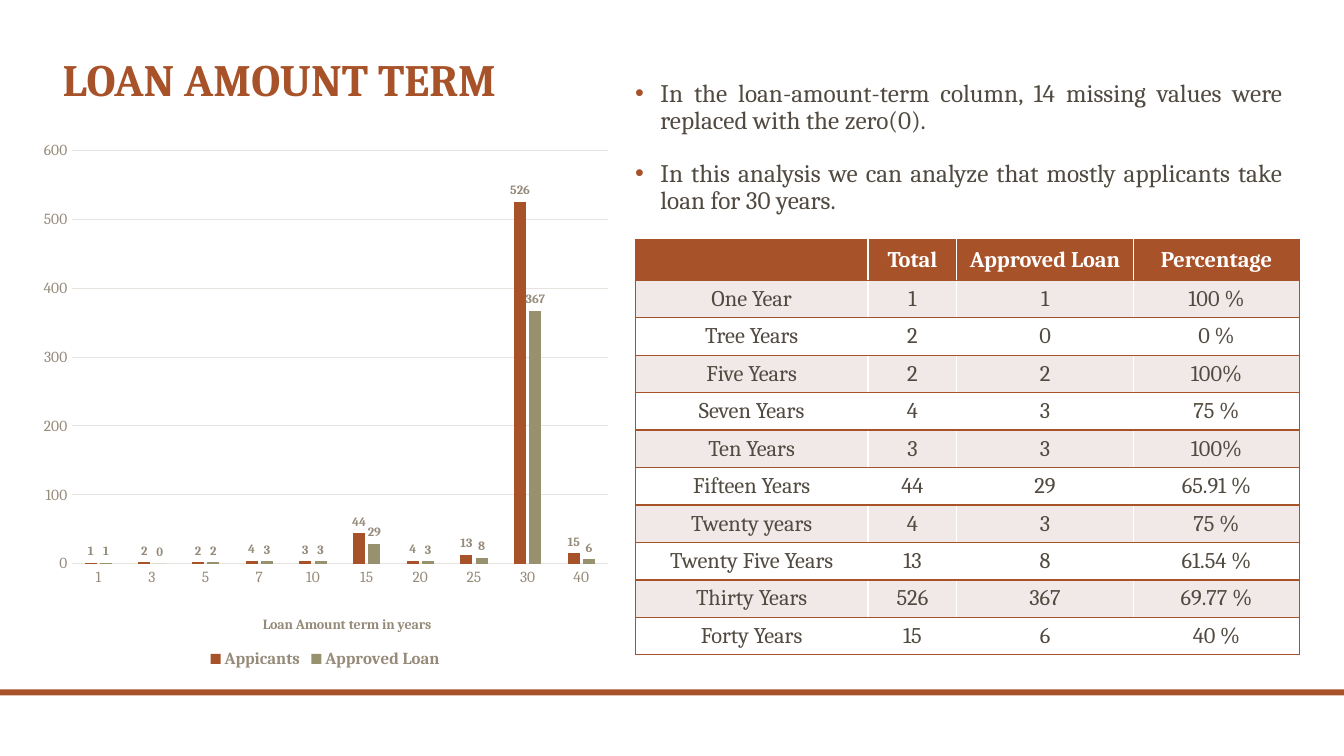
from dataclasses import dataclass

from lxml import etree
from pptx import Presentation
from pptx.chart.data import CategoryChartData
from pptx.dml.color import RGBColor
from pptx.enum.chart import XL_CHART_TYPE, XL_LABEL_POSITION, XL_LEGEND_POSITION, XL_TICK_MARK
from pptx.enum.shapes import MSO_SHAPE
from pptx.enum.text import MSO_ANCHOR, MSO_AUTO_SIZE, PP_ALIGN
from pptx.oxml import parse_xml
from pptx.oxml.ns import nsdecls, qn
from pptx.util import Inches, Pt

COLUMN_CLUSTERED = XL_CHART_TYPE.COLUMN_CLUSTERED
OUTSIDE_END = XL_LABEL_POSITION.OUTSIDE_END
LEGEND_BOTTOM = XL_LEGEND_POSITION.BOTTOM
NO_TICK = XL_TICK_MARK.NONE
RECTANGLE = MSO_SHAPE.RECTANGLE
TOP, MIDDLE, BOTTOM = MSO_ANCHOR.TOP, MSO_ANCHOR.MIDDLE, MSO_ANCHOR.BOTTOM
NO_AUTOFIT = MSO_AUTO_SIZE.NONE
LEFT, CENTER, JUSTIFY = PP_ALIGN.LEFT, PP_ALIGN.CENTER, PP_ALIGN.JUSTIFY

FONT = "Cambria"
COLORS = {
    "accent": "A85229", "olive": "98916E", "text": "514A40", "muted": "968B7A",
    "grid": "E7E4E0", "band": "F1E9E8", "white": "FFFFFF",
}


@dataclass
class LoanTerm:
    years: str
    label: str
    total: int
    approved: int
    percentage: str


LOAN_TERMS = [
    LoanTerm("1", "One Year", 1, 1, "100 %"),
    LoanTerm("3", "Tree Years", 2, 0, "0 %"),
    LoanTerm("5", "Five Years", 2, 2, "100%"),
    LoanTerm("7", "Seven Years", 4, 3, "75 %"),
    LoanTerm("10", "Ten Years", 3, 3, "100%"),
    LoanTerm("15", "Fifteen Years", 44, 29, "65.91 %"),
    LoanTerm("20", "Twenty years", 4, 3, "75 %"),
    LoanTerm("25", "Twenty Five Years", 13, 8, "61.54 %"),
    LoanTerm("30", "Thirty Years", 526, 367, "69.77 %"),
    LoanTerm("40", "Forty Years", 15, 6, "40 %"),
]
TABLE_HEADER = ["", "Total", "Approved Loan", "Percentage"]
COLUMN_WIDTHS = [2.31, 0.88, 1.75, 1.65]
TABLE_HEIGHT, HEADER_HEIGHT = 4.12, 0.4
FINDINGS = [
    "In the loan-amount-term column, 14 missing values were replaced with the zero(0).",
    "In this analysis we can analyze that mostly applicants take loan for 30 years.",
]


def rgb(name: str) -> RGBColor:
    return RGBColor.from_string(COLORS[name])


def set_font(font, size: float, color: str, bold: bool = False) -> None:
    font.name, font.size, font.bold = FONT, Pt(size), bold
    font.color.rgb = rgb(color)


def place(shape, left: float, top: float, width: float, height: float) -> None:
    shape.left, shape.top = Inches(left), Inches(top)
    shape.width, shape.height = Inches(width), Inches(height)


def add_title(slide) -> None:
    title = slide.shapes.title
    place(title, 0.52, 0.41, 10.5, 0.69)
    frame = title.text_frame
    frame.text = "LOAN AMOUNT TERM"
    frame.auto_size, frame.vertical_anchor = NO_AUTOFIT, BOTTOM
    paragraph = frame.paragraphs[0]
    paragraph.alignment, paragraph.line_spacing = LEFT, 0.9
    set_font(paragraph.font, 32, "accent", True)


def add_findings(slide) -> None:
    body = slide.placeholders[1]
    place(body, 6.15, 0.75, 6.67, 1.44)
    frame = body.text_frame
    frame.text = "\n".join(FINDINGS)
    frame.auto_size, frame.vertical_anchor = NO_AUTOFIT, TOP
    for paragraph in frame.paragraphs:
        paragraph.alignment, paragraph.line_spacing = JUSTIFY, 0.9
        paragraph.space_before = Pt(18)
        properties = paragraph._p.get_or_add_pPr()
        properties.set("marL", str(Inches(0.3)))
        properties.set("indent", str(Inches(-0.25)))
        bullet_color = etree.SubElement(properties, qn("a:buClr"))
        etree.SubElement(bullet_color, qn("a:srgbClr"), val=COLORS["accent"])
        etree.SubElement(properties, qn("a:buFont"), typeface="Arial")
        etree.SubElement(properties, qn("a:buChar"), char="•")
        set_font(paragraph.font, 18, "text")


def set_borders(cell, sides: list[str]) -> None:
    """Insert one-point border lines ahead of the cell fill."""
    properties = cell._tc.get_or_add_tcPr()
    for index, side in enumerate(sides):
        properties.insert(index, parse_xml(
            f'<a:{side} {nsdecls("a")} w="12700"><a:solidFill>'
            f'<a:srgbClr val="{COLORS["accent"]}"/></a:solidFill></a:{side}>'))


def add_loan_table(slide) -> None:
    rows = [TABLE_HEADER] + [
        [term.label, str(term.total), str(term.approved), term.percentage] for term in LOAN_TERMS]
    table = slide.shapes.add_table(
        len(rows), len(TABLE_HEADER), Inches(6.3), Inches(2.38),
        Inches(sum(COLUMN_WIDTHS)), Inches(TABLE_HEIGHT)).table
    for column, width in zip(table.columns, COLUMN_WIDTHS):
        column.width = Inches(width)
    row_height = (TABLE_HEIGHT - HEADER_HEIGHT) / len(LOAN_TERMS)
    last_column = len(TABLE_HEADER) - 1
    for row_index, values in enumerate(rows):
        header = row_index == 0
        table.rows[row_index].height = Inches(HEADER_HEIGHT if header else row_height)
        fill = "accent" if header else "band" if row_index % 2 else "white"
        for column_index, value in enumerate(values):
            cell = table.cell(row_index, column_index)
            cell.text, cell.vertical_anchor = value, MIDDLE
            cell.fill.solid()
            cell.fill.fore_color.rgb = rgb(fill)
            paragraph = cell.text_frame.paragraphs[0]
            paragraph.alignment = CENTER
            set_font(paragraph.font, 16, "white" if header else "text", header)
            left = ["lnL"] if column_index == 0 else []
            right = ["lnR"] if column_index == last_column else []
            set_borders(cell, left + right + ["lnT", "lnB"])


def set_layout(element, **fractions: float) -> None:
    """Give a chart part a fixed place, in fractions of the chart."""
    for old_layout in element.findall(qn("c:layout")):
        element.remove(old_layout)
    layout = etree.Element(qn("c:layout"))
    manual = etree.SubElement(layout, qn("c:manualLayout"))
    if "w" in fractions:
        etree.SubElement(manual, qn("c:layoutTarget"), val="inner")
    for axis in "xy":
        etree.SubElement(manual, qn(f"c:{axis}Mode"), val="edge")
    for key, value in fractions.items():
        etree.SubElement(manual, qn(f"c:{key}"), val=str(value))
    text = element.find(qn("c:tx"))
    element.insert(0 if text is None else 1, layout)


def add_loan_chart(slide) -> None:
    data = CategoryChartData()
    data.categories = [term.years for term in LOAN_TERMS]
    data.add_series("Appicants", [term.total for term in LOAN_TERMS])
    data.add_series("Approved Loan", [term.approved for term in LOAN_TERMS])
    chart = slide.shapes.add_chart(
        COLUMN_CLUSTERED, Inches(0.3), Inches(1.28), Inches(5.85), Inches(5.39), data).chart
    set_font(chart.font, 10, "text")
    chart.has_title = False
    chart.has_legend = True
    chart.legend.position, chart.legend.include_in_layout = LEGEND_BOTTOM, False
    set_font(chart.legend.font, 12, "muted", True)

    # Columns and value labels
    plot = chart.plots[0]
    plot.gap_width, plot.overlap, plot.vary_by_categories = 219, -27, False
    for series, color in zip(plot.series, ["accent", "olive"]):
        series.format.fill.solid()
        series.format.fill.fore_color.rgb = rgb(color)
        labels = series.data_labels
        labels.show_value, labels.position = True, OUTSIDE_END
        set_font(labels.font, 9, "muted", True)

    # Axes
    category_axis, value_axis = chart.category_axis, chart.value_axis
    for axis in (category_axis, value_axis):
        axis.major_tick_mark = axis.minor_tick_mark = NO_TICK
        set_font(axis.tick_labels.font, 11, "muted")
    value_axis.minimum_scale, value_axis.maximum_scale, value_axis.major_unit = 0, 600, 100
    value_axis.format.line.fill.background()
    for line in (category_axis.format.line, value_axis.major_gridlines.format.line):
        line.color.rgb, line.width = rgb("grid"), Pt(0.75)
    axis_title = category_axis.axis_title
    axis_title.text_frame.text = "Loan Amount term in years"
    set_font(axis_title.text_frame.paragraphs[0].font, 10, "muted", True)
    set_layout(axis_title._element, x=0.39, y=0.89)
    set_layout(chart._chartSpace.chart.plotArea, x=0.07, y=0.04, w=0.91, h=0.76)


def main() -> None:
    presentation = Presentation()
    presentation.slide_width, presentation.slide_height = Inches(13.33), Inches(7.5)
    slide = presentation.slides.add_slide(presentation.slide_layouts[1])

    # Footer rule
    rule = slide.shapes.add_shape(RECTANGLE, 0, Inches(6.84), Inches(13.33), Inches(0.06))
    rule.shadow.inherit = False
    rule.fill.solid()
    rule.fill.fore_color.rgb = rgb("accent")
    rule.line.fill.background()

    # Content
    add_title(slide)
    add_loan_table(slide)
    add_loan_chart(slide)
    add_findings(slide)
    presentation.save("out.pptx")


if __name__ == "__main__":
    main()
